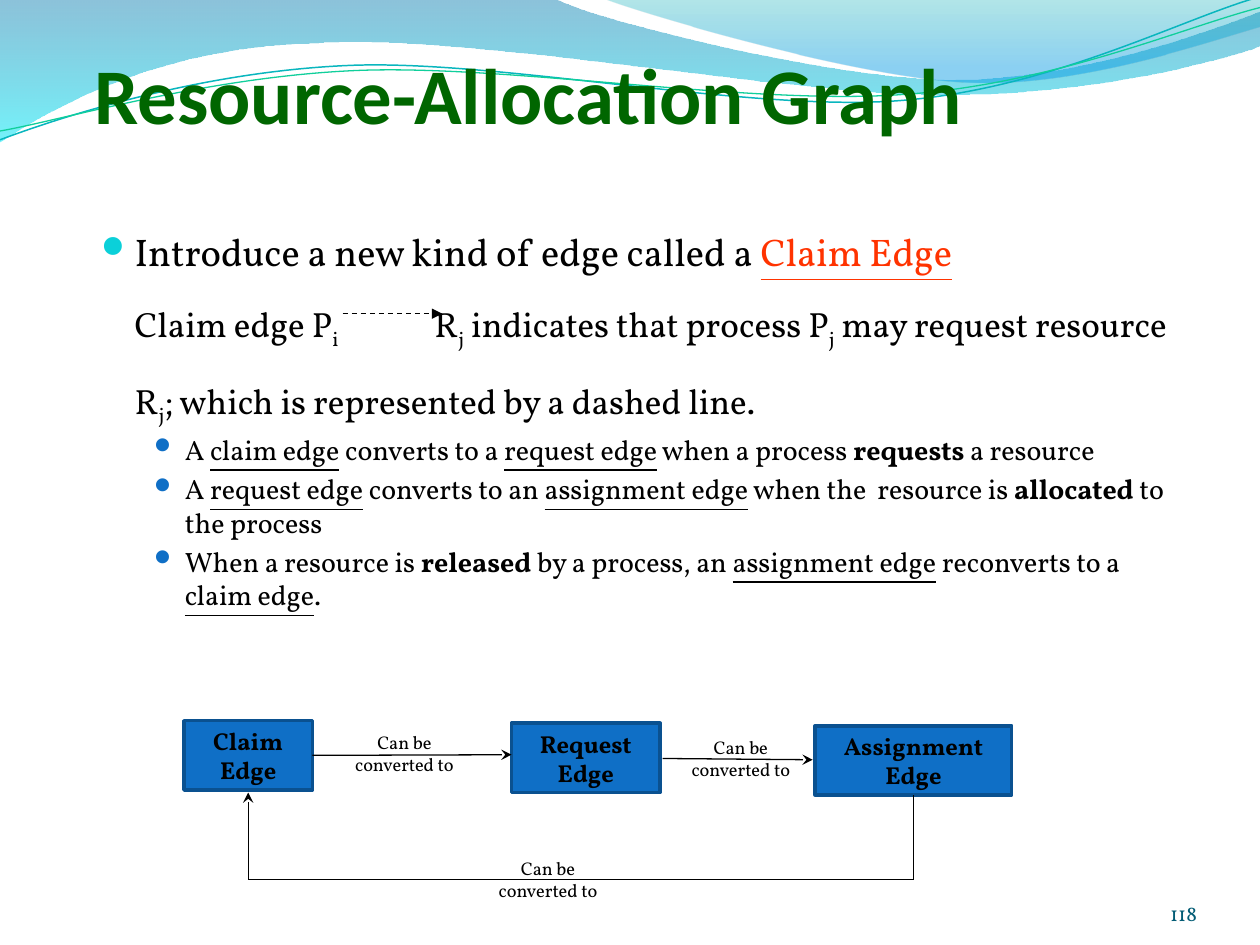
"""Build the Resource-Allocation Graph slide."""
import pptx
import pptx.dml.color
import pptx.enum.dml
import pptx.enum.shapes
import pptx.enum.text
import pptx.oxml.ns
import pptx.util
from lxml import etree
from pptx.util import Inches

SERIF = "Vollkorn"
ALIGN = pptx.enum.text.PP_ALIGN
ANCHOR = pptx.enum.text.MSO_ANCHOR

BROAD_WAVE = [(0, 0), (4.4, -0.01), (4.76, 0.17, 6.64, 0.63, 7.58, 0.63),
              (8.53, 0.63, 9.58, 0.26, 10, 0.09), (10.01, 0.36),
              (9.83, 0.44, 8.7, 0.76, 7.46, 0.75), (6.22, 0.75, 3.82, 0.28, 2.57, 0.34),
              (1.29, 0.36, 0.46, 0.83, -0.01, 1.13)]
RIGHT_WAVE = [(4.79, -0.01), (5.09, 0.11, 6.82, 0.62, 7.69, 0.65),
              (8.56, 0.69, 9.61, 0.32, 10, 0.21), (10, 0)]
UPPER_STRAND = [(0, 1.11), (0.48, 0.93, 1.58, 0.57, 2.77, 0.52),
                (3.95, 0.47, 5.93, 0.89, 7.13, 0.8), (8.33, 0.71, 9.38, 0.15, 9.98, -0.02)]
LOWER_STRAND = [(0, 1.04), (0.47, 0.96, 1.64, 0.61, 2.83, 0.56),
                (4.03, 0.51, 5.97, 0.84, 7.17, 0.75), (8.36, 0.67, 9.41, 0.21, 10, 0.06)]

INTRO = [("Introduce a new kind of edge called a ", "", 22), ("Claim Edge", "uh", 22),
         ("\v", "", 22), ("Claim edge P", "", 20), ("i", "s", 20), ("\tR", "", 20),
         ("j", "s", 20), (" indicates that process P", "", 20), ("j", "s", 20),
         (" may request resource R", "", 20), ("j", "s", 20),
         ("; which is represented by a dashed line.", "", 20)]
CONVERSIONS = [
    [("A ", ""), ("claim edge", "u"), (" converts to a ", ""), ("request edge", "u"),
     (" when a process ", ""), ("requests", "b"), (" a resource", "")],
    [("A ", ""), ("request edge", "u"), (" converts to an ", ""), ("assignment edge", "u"),
     (" when the  resource is ", ""), ("allocated", "b"), (" to the process", "")],
    [("When a resource is ", ""), ("released", "b"), (" by a process, an ", ""),
     ("assignment edge", "u"), (" reconverts to a ", ""), ("claim edge", "u"), (".", "")],
]


def rgb(value):
    """Return the colour for a hex string."""
    return pptx.dml.color.RGBColor.from_string(value)


def add_element(parent, tag, **attributes):
    """Append a DrawingML element with the given attributes."""
    return etree.SubElement(parent, pptx.oxml.ns.qn(tag), attributes)


def style_font(font, size, color="000000", bold=False, name=SERIF):
    """Set the basic look of a font."""
    font.name, font.size, font.bold = name, pptx.util.Pt(size), bold
    font.color.rgb = rgb(color)


def add_outline(slide, outline, close):
    """Draw lines (2 numbers) and Bezier curves (6 numbers) as a freeform."""
    start, *rest = [(Inches(part[-2]), Inches(part[-1])) for part in outline]
    builder = slide.shapes.build_freeform(*start)
    builder.add_line_segments(rest, close=close)
    shape = builder.convert_to_shape()
    shape.shadow.inherit = False
    for part, segment in zip(outline[1:], shape._element.xpath(".//a:lnTo")):
        if len(part) == 6:
            curve = etree.Element(pptx.oxml.ns.qn("a:cubicBezTo"))
            for x, y in zip(part[::2], part[1::2]):
                add_element(curve, "a:pt", x=str(Inches(x) - shape.left),
                            y=str(Inches(y) - shape.top))
            segment.getparent().replace(segment, curve)
    return shape


def add_wave(slide, outline, stops):
    """Draw a wave filled from top to bottom with a translucent gradient."""
    wave = add_outline(slide, outline, True)
    wave.line.fill.background()
    wave.fill.gradient()
    wave.fill.gradient_angle = 270
    for stop, (position, color, _) in zip(wave.fill.gradient_stops, stops):
        stop.position = position
        stop.color.rgb = rgb(color)
    for color_element, (_, _, opacity) in zip(wave._element.xpath(".//a:gs/a:srgbClr"), stops):
        add_element(color_element, "a:alpha", val=str(opacity * 1000))


def add_strand(slide, outline, color, width):
    """Draw a thin open wave line."""
    strand = add_outline(slide, outline, False)
    strand.fill.background()
    strand.line.color.rgb = rgb(color)
    strand.line.width = pptx.util.Pt(width)


def add_title(slide, text):
    """Place and format the title at the front."""
    title = slide.shapes.title
    title.left, title.top, title.width, title.height = map(Inches, (0.75, 0.44, 8.83, 0.67))
    frame = title.text_frame
    frame.text = text
    frame.auto_size = pptx.enum.text.MSO_AUTO_SIZE.NONE
    frame.vertical_anchor = ANCHOR.BOTTOM
    frame.margin_left = frame.margin_right = frame.margin_bottom = 0
    frame.paragraphs[0].alignment = ALIGN.LEFT
    style_font(frame.paragraphs[0].runs[0].font, 45, "006600", True, "Calibri")
    slide.shapes._spTree.append(title._element)


def add_text(slide, text, box, size, color="000000", align=ALIGN.CENTER, anchor=ANCHOR.MIDDLE):
    """Add a wrapping text box with one paragraph."""
    frame = slide.shapes.add_textbox(*map(Inches, box)).text_frame
    frame.word_wrap = True
    frame.vertical_anchor = anchor
    frame.text = text
    frame.paragraphs[0].alignment = align
    style_font(frame.paragraphs[0].runs[0].font, size, color)
    return frame


def fill_bullet(paragraph, runs, indent, hanging, bullet_color, tab=None):
    """Write runs styled u(nderline), b(old), s(ubscript), h(ighlight) after a bullet."""
    properties = paragraph._p.get_or_add_pPr()
    properties.set("marL", str(Inches(indent)))
    properties.set("indent", str(-Inches(hanging)))
    add_element(add_element(properties, "a:buClr"), "a:srgbClr", val=bullet_color)
    add_element(properties, "a:buFont", typeface="OpenSymbol")
    add_element(properties, "a:buChar", char="⚫")
    if tab:
        tabs = add_element(properties, "a:tabLst")
        add_element(tabs, "a:tab", pos=str(Inches(tab)), algn="l")
    for text, style, size in runs:
        if text == "\v":
            paragraph.add_line_break()
            continue
        run = paragraph.add_run()
        run.text = text
        style_font(run.font, size, "FF3300" if "h" in style else "000000", "b" in style)
        run.font.underline = "u" in style
        if "s" in style:
            run.font._element.set("baseline", "-25000")


def add_body(slide):
    """Add the claim edge definition and its conversion rules."""
    frame = slide.shapes.add_textbox(*map(Inches, (0.67, 1.54, 8.74, 5.6))).text_frame
    frame.word_wrap = True
    intro = frame.paragraphs[0]
    fill_bullet(intro, INTRO, 0.3, 0.3, "0BD0D9", tab=2.68)
    intro.line_spacing = 1.6
    for conversion in CONVERSIONS:
        rule = frame.add_paragraph()
        rule.level = 1
        fill_bullet(rule, [(*run, 16) for run in conversion], 0.7, 0.27, "0F6FC6")
        rule.space_before = pptx.util.Pt(3.2)


def add_edge_box(slide, text, left, top, width):
    """Add a blue box that names a kind of edge."""
    box = slide.shapes.add_shape(pptx.enum.shapes.MSO_SHAPE.RECTANGLE,
                                 *map(Inches, (left, top, width, 0.55)))
    box.shadow.inherit = False
    box.fill.solid()
    box.fill.fore_color.rgb = rgb("0F6FC6")
    box.line.color.rgb = rgb("0A5190")
    box.line.width = pptx.util.Pt(2)
    box.text_frame.text = text
    box.text_frame.vertical_anchor = ANCHOR.MIDDLE
    box.text_frame.paragraphs[0].alignment = ALIGN.CENTER
    style_font(box.text_frame.paragraphs[0].runs[0].font, 14, bold=True)
    return box


def add_line(slide, start, end, head=None, dashed=False, source=None):
    """Draw a line between points, joined to a (box, side) source if given."""
    line = slide.shapes.add_connector(pptx.enum.shapes.MSO_CONNECTOR.STRAIGHT,
                                      *map(Inches, (*start, *end)))
    if source:
        line.begin_connect(*source)
    line.line.color.rgb = rgb("000000")
    line.line.width = pptx.util.Pt(0.75)
    if dashed:
        line.line.dash_style = pptx.enum.dml.MSO_LINE.DASH
    properties = line._element.spPr
    if head:
        add_element(properties.find(pptx.oxml.ns.qn("a:ln")), "a:tailEnd", type=head)
    add_element(properties, "a:effectLst")


def add_cycle(slide):
    """Draw the cycle of edge conversions."""
    claim = add_edge_box(slide, "Claim Edge", 1.46, 5.72, 1.02)
    add_edge_box(slide, "Request Edge", 4.06, 5.74, 1.18)
    assignment = add_edge_box(slide, "Assignment Edge", 6.47, 5.76, 1.56)
    right_corner, left_corner = (7.25, 6.98), (1.97, 6.98)
    add_line(slide, (2.48, 5.99), (4.06, 5.99), "stealth", source=(claim, 3))
    add_line(slide, (5.26, 6.02), (6.45, 6.03), "stealth")
    add_line(slide, (7.25, 6.31), right_corner, source=(assignment, 2))
    add_line(slide, right_corner, left_corner)
    add_line(slide, left_corner, (1.97, 6.29), "stealth")
    for left, top in ((2.64, 5.72), (5.31, 5.76), (3.78, 6.72)):
        add_text(slide, "Can be converted to", (left, top, 1.14, 0.51), 10.5)


def main():
    """Build and save the slide."""
    deck = pptx.Presentation()
    deck.slide_width, deck.slide_height = Inches(10), Inches(7.5)
    slide = deck.slides.add_slide(deck.slide_layouts[5])
    add_wave(slide, BROAD_WAVE, [(0, "0079AD", 45), (1, "00E9F7", 55)])
    add_wave(slide, RIGHT_WAVE, [(0, "00ABB4", 30), (0.8, "0099E4", 45)])
    add_strand(slide, UPPER_STRAND, "09B6BE", 0.85)
    add_strand(slide, LOWER_STRAND, "10CF9B", 0.75)
    add_title(slide, "Resource-Allocation Graph")
    add_body(slide)
    add_line(slide, (2.72, 2.49), (3.51, 2.49), "triangle", dashed=True)
    add_cycle(slide)
    number = add_text(slide, "118", (8.67, 6.95, 0.83, 0.4), 12, "035C75",
                      ALIGN.RIGHT, ANCHOR.BOTTOM)
    number.margin_left = number.margin_right = number.margin_top = number.margin_bottom = 0
    deck.save("out.pptx")


if __name__ == "__main__":
    main()
